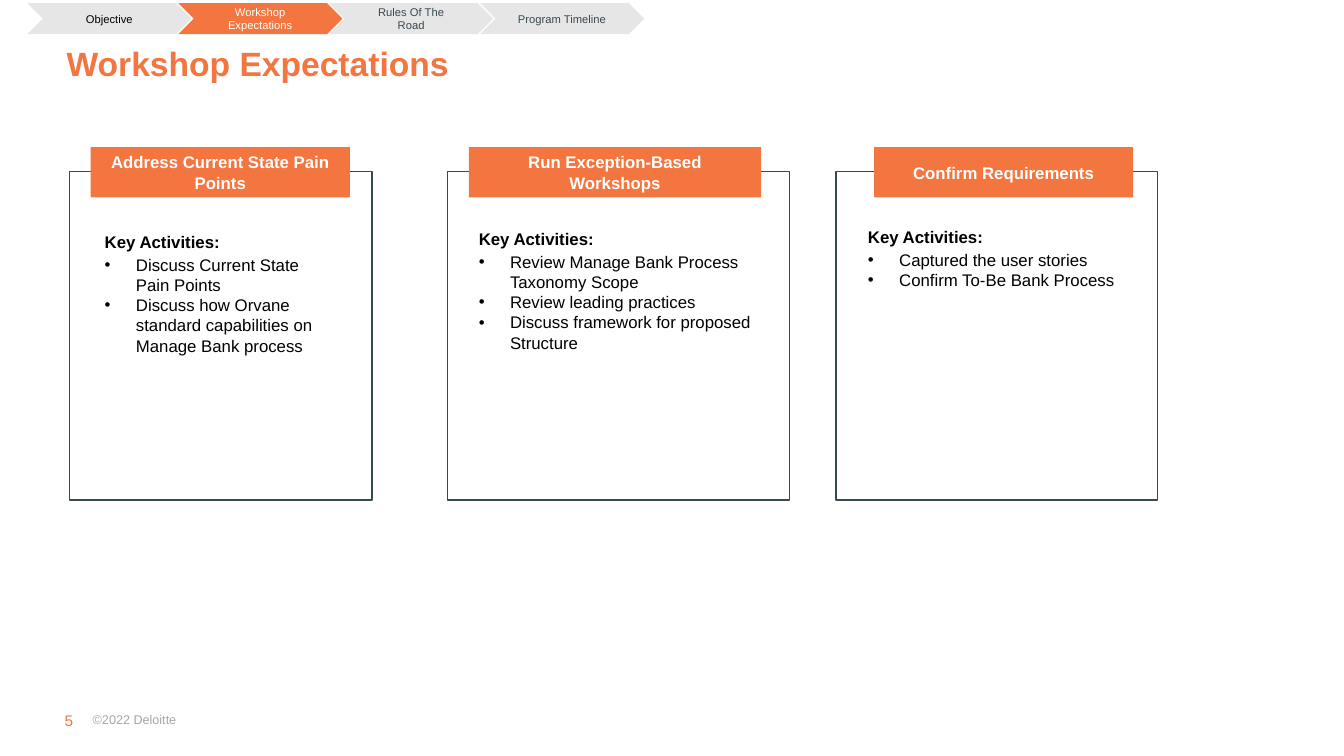
from collections import namedtuple

from lxml.etree import SubElement
from pptx import Presentation
from pptx.dml.color import RGBColor
from pptx.enum.shapes import MSO_SHAPE
from pptx.enum.text import MSO_ANCHOR, PP_ALIGN
from pptx.oxml.ns import qn
from pptx.util import Inches, Pt

COLORS = {
    "accent": "F3753F",
    "slate": "384951",
    "light": "E7E6E6",
    "muted": "A6A6A6",
    "black": "000000",
    "white": "FFFFFF",
}
FONT = "Arial"

Box = namedtuple("Box", "left top width height")
Card = namedtuple("Card", "frame header body heading activities")

STEPS = [
    ("Objective", "light", "black"),
    ("Workshop Expectations", "accent", "white"),
    ("Rules Of The Road", "light", "slate"),
    ("Program Timeline", "light", "slate"),
]

# Header and body boxes are measured from the top left corner of the frame.
CARDS = [
    Card(Box(0.69, 1.7, 3, 3.26), Box(0.21, -0.24, 2.57, 0.5), Box(0.25, 0.55, 2.48, 1.34),
         "Address Current State Pain Points",
         ["Discuss Current State Pain Points",
          "Discuss how Orvane standard capabilities on Manage Bank process"]),
    Card(Box(4.44, 1.7, 3.39, 3.26), Box(0.21, -0.24, 2.9, 0.5), Box(0.21, 0.52, 3.05, 1.34),
         "Run Exception-Based Workshops",
         ["Review Manage Bank Process Taxonomy Scope",
          "Review leading practices",
          "Discuss framework for proposed Structure"]),
    Card(Box(8.29, 1.7, 3.19, 3.26), Box(0.38, -0.24, 2.57, 0.5), Box(0.22, 0.5, 2.88, 0.73),
         "Confirm Requirements",
         ["Captured the user stories", "Confirm To-Be Bank Process"]),
]


def color(name):
    return RGBColor.from_string(COLORS[name])


def set_all(target, values):
    for name, value in values.items():
        setattr(target, name, value)


def inside(outer, inner):
    """Return the inner box in slide coordinates."""
    return Box(outer.left + inner.left, outer.top + inner.top, inner.width, inner.height)


def set_margins(frame, margin):
    set_all(frame, {f"margin_{side}": Inches(margin) for side in ("left", "top", "right", "bottom")})


def write(para, text, size, color_name, bold=False):
    span = para.add_run()
    span.text = text
    set_all(span.font, {"name": FONT, "size": Pt(size), "bold": bold})
    span.font.color.rgb = color(color_name)


def add_text_box(page, box, wrap=True):
    frame = page.shapes.add_textbox(*map(Inches, box)).text_frame
    frame.word_wrap = wrap
    return frame


def add_line_of_text(page, box, text, size, color_name, bold=False, wrap=True):
    frame = add_text_box(page, box, wrap)
    set_margins(frame, 0)
    write(frame.paragraphs[0], text, size, color_name, bold)
    return frame


def add_shape(page, kind, box):
    shape = page.shapes.add_shape(kind, *map(Inches, box))
    shape.shadow.inherit = False
    return shape


def add_label(page, kind, box, fill, text, size, color_name, bold=False):
    """Add a filled shape with centred text."""
    shape = add_shape(page, kind, box)
    shape.fill.solid()
    shape.fill.fore_color.rgb = color(fill)
    shape.line.fill.background()
    frame = shape.text_frame
    set_all(frame, {"word_wrap": True, "vertical_anchor": MSO_ANCHOR.MIDDLE})
    set_margins(frame, 0.2)
    para = frame.paragraphs[0]
    para.alignment = PP_ALIGN.CENTER
    write(para, text, size, color_name, bold)


def add_bullet(para):
    indent = Inches(0.31)
    properties = para._p.get_or_add_pPr()
    properties.set("marL", str(indent))
    properties.set("indent", str(-indent))
    SubElement(properties, qn("a:buFont")).set("typeface", FONT)
    SubElement(properties, qn("a:buChar")).set("char", "•")


def add_title(page, box, text):
    frame = add_line_of_text(page, box, text, 24, "accent", bold=True)
    frame.vertical_anchor = MSO_ANCHOR.BOTTOM
    frame.paragraphs[0].line_spacing = 0.9


def add_frame(page, box):
    shape = add_shape(page, MSO_SHAPE.RECTANGLE, box)
    shape.fill.background()
    shape.line.color.rgb = color("slate")
    shape.line.width = Pt(1)


def add_activities(page, box, activities):
    frame = add_text_box(page, box)
    heading = frame.paragraphs[0]
    heading.space_after = Pt(2)
    write(heading, "Key Activities:", 12, "black", bold=True)
    for activity in activities:
        para = frame.add_paragraph()
        add_bullet(para)
        write(para, activity, 12, "black")


def add_card(page, card):
    add_frame(page, card.frame)
    add_label(page, MSO_SHAPE.RECTANGLE, inside(card.frame, card.header),
              "accent", card.heading, 12, "white", bold=True)
    add_activities(page, inside(card.frame, card.body), card.activities)


def add_progress_bar(page, box):
    """Spread overlapping chevrons evenly over the box."""
    step_width = 1.63
    pitch = (box.width - step_width) / (len(STEPS) - 1)
    for index, (text, fill, text_color) in enumerate(STEPS):
        step = Box(box.left + index * pitch, box.top, step_width, box.height)
        add_label(page, MSO_SHAPE.CHEVRON, step, fill, text, 8, text_color)


def add_footer(page, box):
    number = Box(0, 0, 0.19, box.height)
    credit = Box(0.28, 0.01, box.width - 0.28, 0.15)
    add_line_of_text(page, inside(box, number), "5", 11, "accent", wrap=False)
    add_line_of_text(page, inside(box, credit), "©2022 Deloitte", 9, "muted")


def main():
    deck = Presentation()
    set_all(deck, {"slide_width": Inches(13.33), "slide_height": Inches(7.5)})
    page = deck.slides.add_slide(deck.slide_layouts[6])
    add_footer(page, Box(0.64, 7.05, 6.14, 0.19))
    add_title(page, Box(0.66, 0.33, 12.31, 0.5), "Workshop Expectations")
    for card in CARDS:
        add_card(page, card)
    add_progress_bar(page, Box(0.27, 0.03, 6.12, 0.31))
    deck.save("out.pptx")


if __name__ == "__main__":
    main()
